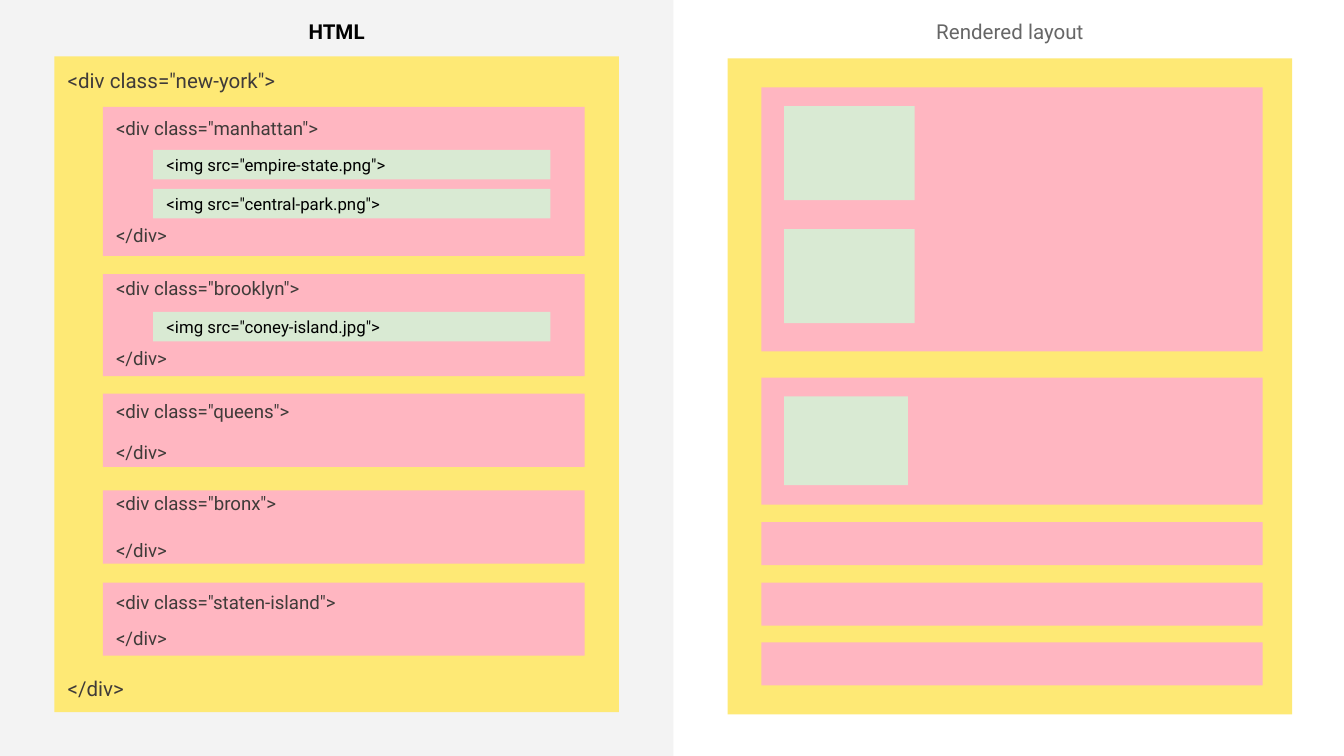
from pptx import Presentation
from pptx.dml.color import RGBColor
from pptx.enum.shapes import MSO_SHAPE
from pptx.enum.text import MSO_ANCHOR, PP_ALIGN
from pptx.util import Emu, Pt

RECTANGLE = MSO_SHAPE.RECTANGLE
MIDDLE = MSO_ANCHOR.MIDDLE
LEFT, CENTER = PP_ALIGN.LEFT, PP_ALIGN.CENTER

EMU_PER_PX = 4572  # 200 px to the inch
PAGE_WIDTH, PAGE_HEIGHT = 2000, 1125
FONT = "Roboto"
GRAY, YELLOW, PINK, GREEN = "F3F3F3", "FEE975", "FFB6C1", "D9EAD3"
BLACK, TAG_COLOR, MUTED = "000000", "3F3B39", "666666"

PANEL_WIDTH, PANEL_HEIGHT = 840, 976
CODE_LEFT, LAYOUT_LEFT = 81, 1083
HEADING_TOP = 15
TAG_WIDTH, TAG_HEIGHT = 558, 64
INSET = 20

# Borough class, block top, block height, opening tag top, closing tag top
BOROUGHS = [
    ("manhattan", 159, 222, 159, 318),
    ("brooklyn", 408, 152, 396, 501),
    ("queens", 586, 109, 579, 640),
    ("bronx", 730, 109, 717, 787),
    ("staten-island", 867, 109, 864, 918),
]
# Image file, top of its tag
IMAGE_TAGS = [("empire-state.png", 223), ("central-park.png", 281), ("coney-island.jpg", 464)]
# Top and height of each rendered borough
RENDERED_BOROUGHS = [(130, 393), (562, 189), (777, 64), (867, 64), (956, 64)]
# Top, width and height of each rendered image
RENDERED_IMAGES = [(158, 194, 140), (341, 194, 140), (590, 184, 132)]


def px(value):
    return Emu(value * EMU_PER_PX)


def color(hex_string):
    return RGBColor.from_string(hex_string)


def write(box, text, size, text_color, align=LEFT, bold=False):
    frame = box.text_frame
    frame.word_wrap = True
    frame.vertical_anchor = MIDDLE
    frame.margin_left = frame.margin_right = px(INSET)
    frame.margin_top = frame.margin_bottom = px(INSET)
    para = frame.paragraphs[0]
    para.alignment = align
    span = para.add_run()
    span.text = text
    span.font.name = FONT
    span.font.size = Pt(size)
    span.font.bold = bold
    span.font.color.rgb = color(text_color)


def add_block(page, left, top, width, height, fill):
    block = page.shapes.add_shape(RECTANGLE, px(left), px(top), px(width), px(height))
    block.shadow.inherit = False
    block.fill.solid()
    block.fill.fore_color.rgb = color(fill)
    block.line.fill.background()
    return block


def add_label(page, left, top, width, text, size, text_color, align=LEFT, bold=False):
    box = page.shapes.add_textbox(px(left), px(top), px(width), px(TAG_HEIGHT))
    write(box, text, size, text_color, align, bold)


def add_div_tags(page, left, class_name, open_top, close_top, size):
    for text, top in ((f'<div class="{class_name}">', open_top), ("</div>", close_top)):
        add_label(page, left, top, TAG_WIDTH, text, size, TAG_COLOR)


def add_code_panel(page):
    add_block(page, 0, 0, 1002, PAGE_HEIGHT, GRAY)
    add_label(page, CODE_LEFT, HEADING_TOP, PANEL_WIDTH, "HTML", 11, BLACK, CENTER, True)
    add_block(page, CODE_LEFT, 84, PANEL_WIDTH, PANEL_HEIGHT, YELLOW)
    add_div_tags(page, CODE_LEFT, "new-york", 88, 992, 11)
    for class_name, top, height, open_top, close_top in BOROUGHS:
        add_block(page, 153, top, 717, height, PINK)
        add_div_tags(page, 153, class_name, open_top, close_top, 10)
    for file_name, top in IMAGE_TAGS:
        block = add_block(page, 228, top, 591, 44, GREEN)
        write(block, f'<img src="{file_name}">', 9, BLACK)


def add_layout_panel(page):
    add_label(page, LAYOUT_LEFT, HEADING_TOP, PANEL_WIDTH, "Rendered layout", 11, MUTED, CENTER)
    add_block(page, LAYOUT_LEFT, 87, PANEL_WIDTH, PANEL_HEIGHT, YELLOW)
    for top, height in RENDERED_BOROUGHS:
        add_block(page, 1133, top, 746, height, PINK)
    for top, width, height in RENDERED_IMAGES:
        add_block(page, 1167, top, width, height, GREEN)


def main():
    deck = Presentation()
    deck.slide_width, deck.slide_height = px(PAGE_WIDTH), px(PAGE_HEIGHT)
    page = deck.slides.add_slide(deck.slide_layouts[6])  # blank layout

    # Source markup on the left, resulting boxes on the right
    add_code_panel(page)
    add_layout_panel(page)
    deck.save("out.pptx")


if __name__ == "__main__":
    main()
